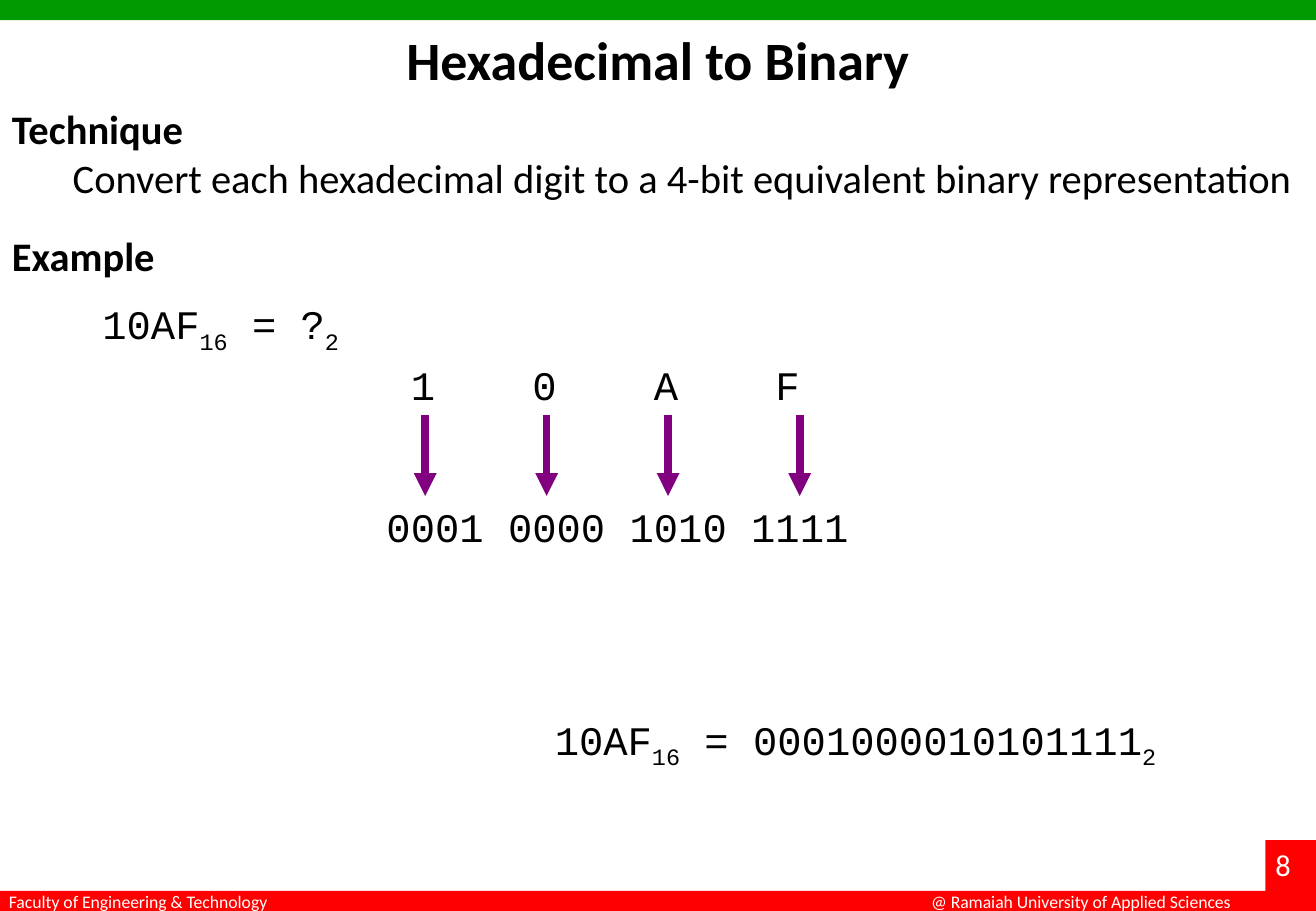
from lxml.etree import SubElement
from pptx import Presentation
from pptx.dml.color import RGBColor
from pptx.enum.shapes import MSO_CONNECTOR, MSO_SHAPE
from pptx.enum.text import MSO_ANCHOR, PP_ALIGN
from pptx.oxml.ns import qn
from pptx.util import Inches, Pt

COLS, ROWS = 13, 9
BARS = [
    ((0, 0, 13, 0.2), "009900"),
    ((0, 8.8, 13, 0.2), "FF0000"),
    ((12.5, 8.3, 0.5, 0.7), "FF0000"),
]
TITLE = {"size": 32, "bold": True}
HEAD = {"size": 24, "bold": True}
BODY = {"size": 24}
CODE = {"size": 24, "name": "Courier New"}
FOOT = {"size": 10.5, "color": "FFFFFF"}
PAGE = {"size": 18, "color": "FFFFFF"}
LEFT, CENTER = PP_ALIGN.LEFT, PP_ALIGN.CENTER

DIGITS = ["1", "0", "A", "F"]
NIBBLES = ["0001", "0000", "1010", "1111"]
TEXTS = [
    ((9.08, 8.74, 3.5, 0.33), LEFT, FOOT, ["@ Ramaiah University of Applied Sciences"]),
    ((12.48, 8.3, 0.52, 0.48), LEFT, PAGE, ["8"]),
    ((-0.03, 8.74, 3.5, 0.33), LEFT, FOOT, ["Faculty of Engineering & Technology"]),
    ((0.65, 0.2, 11.7, 0.77), CENTER, TITLE, ["Hexadecimal to Binary"]),
    ((0, 2.22, 2.4, 0.6), LEFT, HEAD, ["Example"]),
    ((0.83, 2.9, 2.7, 0.6), CENTER, CODE, ["10AF", "16", " = ?", "2"]),
    ((5.3, 7, 6.3, 0.6), CENTER, CODE, ["10AF", "16", " = " + "".join(NIBBLES), "2"]),
]
TECHNIQUE = ((0, 0.97, 13, 1.1), "Technique",
             "Convert each hexadecimal digit to a 4-bit equivalent binary representation")
DIGIT_BOX = (3.7, 3.5, 5, 2.04)
DIGIT_TABS = [0.2 + k for k in range(len(DIGITS))]
ARROW_COLS, ARROW_ROWS = [4.2, 5.4, 6.6, 7.9], (4.1, 4.9)

prs = Presentation()
prs.slide_width, prs.slide_height = Inches(10.83), Inches(7.5)
s = prs.slides.add_slide(prs.slide_layouts[6])


def x(col):
    """Convert grid columns to a length."""
    return int(prs.slide_width * col / COLS)


def y(row):
    """Convert grid rows to a length."""
    return int(prs.slide_height * row / ROWS)


def place(box):
    """Convert a grid box to left, top, width and height."""
    return x(box[0]), y(box[1]), x(box[2]), y(box[3])


def rgb(value):
    """Return the colour for a hex string."""
    return RGBColor.from_string(value)


def add_box(box):
    """Add a wrapping text box and return its text frame."""
    tf = s.shapes.add_textbox(*place(box)).text_frame
    tf.word_wrap = True
    tf.vertical_anchor = MSO_ANCHOR.TOP
    return tf


def add_run(p, text, fmt, subscript=False):
    """Add a formatted run to a paragraph."""
    r = p.add_run()
    r.text = text
    values = {"name": "Calibri", "color": "000000", "bold": False, **fmt}
    r.font.color.rgb = rgb(values.pop("color"))
    values["size"] = Pt(values["size"])
    for key, value in values.items():
        setattr(r.font, key, value)
    if subscript:
        r.font._element.set("baseline", "-25000")


def add_arrow(col):
    """Add a downward arrow in a grid column."""
    top, bottom = ARROW_ROWS
    c = s.shapes.add_connector(MSO_CONNECTOR.STRAIGHT, x(col), y(top), x(col), y(bottom))
    c.line.color.rgb = rgb("800080")
    c.line.width = Pt(4.5)
    SubElement(c.line._get_or_add_ln(), qn("a:tailEnd"), type="triangle")
    SubElement(c._element.spPr, qn("a:effectLst"))


for box, color in BARS:
    sp = s.shapes.add_shape(MSO_SHAPE.RECTANGLE, *place(box))
    sp.shadow.inherit = False
    sp.fill.solid()
    sp.fill.fore_color.rgb = rgb(color)
    sp.line.fill.background()

for box, align, fmt, parts in TEXTS:
    p = add_box(box).paragraphs[0]
    p.alignment = align
    for i, part in enumerate(parts):
        add_run(p, part, fmt, subscript=i % 2 == 1)

box, heading, rule = TECHNIQUE
tf = add_box(box)
add_run(tf.paragraphs[0], heading, HEAD)
p = tf.add_paragraph()
p._p.get_or_add_pPr().set("marL", str(Inches(0.5)))
add_run(p, rule, BODY)

tf = add_box(DIGIT_BOX)
p = tf.paragraphs[0]
tabs = SubElement(p._p.get_or_add_pPr(), qn("a:tabLst"))
for stop in DIGIT_TABS:
    SubElement(tabs, qn("a:tab"), pos=str(Inches(stop)), algn="l")
add_run(p, "".join("\t" + digit for digit in DIGITS), CODE)
p = tf.add_paragraph()
p.space_before = Pt(55)
add_run(p, " ".join(NIBBLES), CODE)

for col in ARROW_COLS:
    add_arrow(col)

prs.save("out.pptx")
